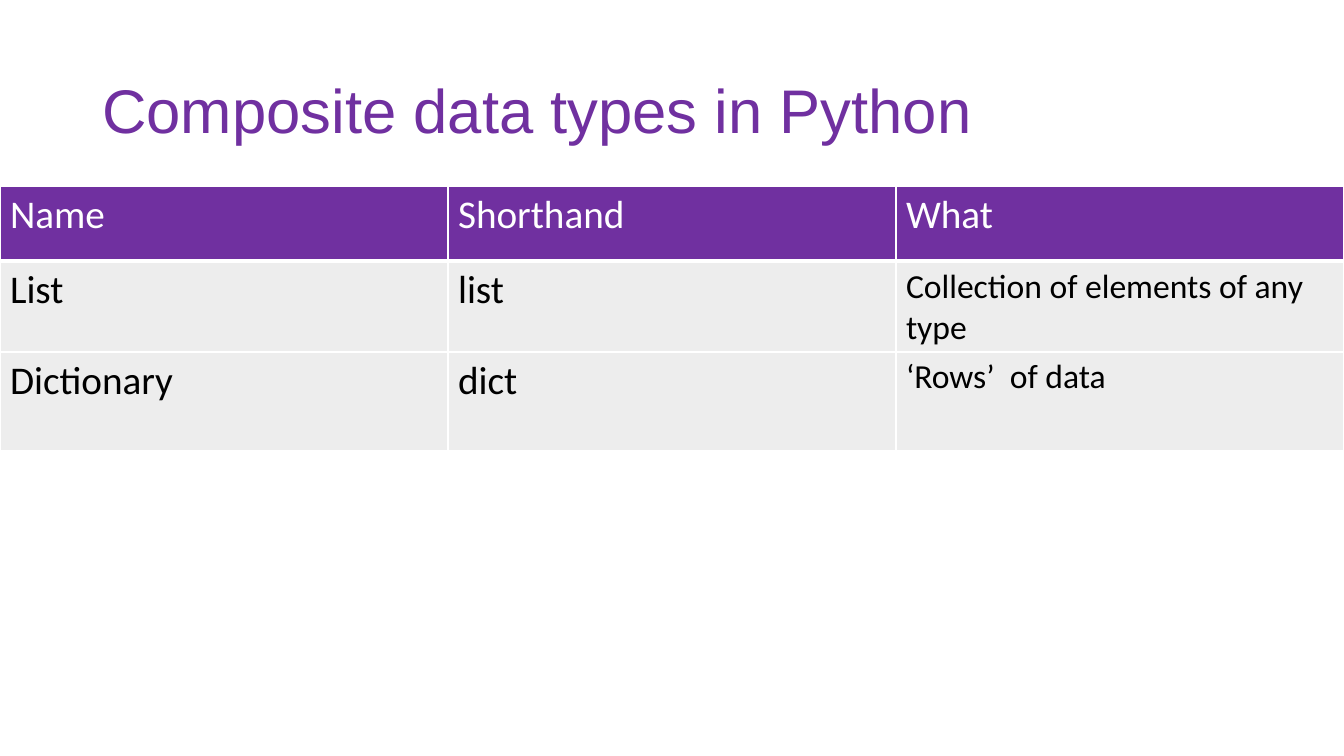
from dataclasses import dataclass

from lxml.etree import SubElement
from pptx import Presentation
from pptx.dml.color import RGBColor as RGB
from pptx.enum.text import MSO_ANCHOR as Anchor
from pptx.oxml.ns import qn
from pptx.util import Pt


@dataclass(frozen=True)
class Theme:
    purple: str = "7030A0"
    grey: str = "EDEDED"
    white: str = "FFFFFF"
    black: str = "000000"
    title_font: str = "Arial"
    table_font: str = "Calibri"
    title_size: int = 44
    cell_size: int = 28
    note_size: int = 24
    rule: int = 1
    header_rule: int = 3


THEME = Theme()
SLIDE_W, SLIDE_H = 960, 540
ROW_HEIGHTS = (53.4, 53.4, 70.6)
ROWS = (
    ("Name", "Shorthand", "What"),
    ("List", "list", "Collection of elements of any type"),
    ("Dictionary", "dict", "‘Rows’  of data"),
)


def write(tf, text, font, size, color):
    p = tf.paragraphs[0]
    p.text = text
    for r in p.runs:
        r.font.name = font
        r.font.size = Pt(size)
        r.font.color.rgb = RGB.from_string(color)
    return p


def add_title(s, text, left, top, width, height):
    tf = s.shapes.add_textbox(Pt(left), Pt(top), Pt(width), Pt(height)).text_frame
    tf.word_wrap = True
    tf.vertical_anchor = Anchor.MIDDLE
    p = write(tf, text, THEME.title_font, THEME.title_size, THEME.purple)
    p.line_spacing = 0.9


def set_borders(cell, bottom):
    tc_pr = cell._tc.get_or_add_tcPr()
    widths = {"lnL": THEME.rule, "lnR": THEME.rule, "lnT": THEME.rule, "lnB": bottom}
    for side, width in widths.items():
        ln = SubElement(tc_pr, qn(f"a:{side}"), w=str(Pt(width)))
        fill = SubElement(ln, qn("a:solidFill"))
        SubElement(fill, qn("a:srgbClr"), val=THEME.white)


def style_cell(cell, text, is_header, is_note):
    # Borders come before the fill in the cell properties
    set_borders(cell, THEME.header_rule if is_header else THEME.rule)
    cell.fill.solid()
    cell.fill.fore_color.rgb = RGB.from_string(THEME.purple if is_header else THEME.grey)
    write(cell.text_frame, text, THEME.table_font,
          THEME.note_size if is_note else THEME.cell_size,
          THEME.white if is_header else THEME.black)


def add_types_table(s, rows, heights, top):
    n_cols = len(rows[0])
    table = s.shapes.add_table(len(rows), n_cols, Pt(0), Pt(top),
                               Pt(SLIDE_W), Pt(sum(heights))).table
    for col in table.columns:
        col.width = Pt(SLIDE_W / n_cols)
    for i, (texts, height) in enumerate(zip(rows, heights)):
        table.rows[i].height = Pt(height)
        for j, text in enumerate(texts):
            is_header = i == 0
            is_note = not is_header and j == n_cols - 1
            style_cell(table.cell(i, j), text, is_header, is_note)


def main():
    prs = Presentation()
    prs.slide_width, prs.slide_height = Pt(SLIDE_W), Pt(SLIDE_H)
    s = prs.slides.add_slide(prs.slide_layouts[6])

    # Title
    add_title(s, "Composite data types in Python", 66, 28.75, 828, 104.4)

    # Table of types, across the full slide width
    add_types_table(s, ROWS, ROW_HEIGHTS, 133.2)

    prs.save("out.pptx")


if __name__ == "__main__":
    main()
